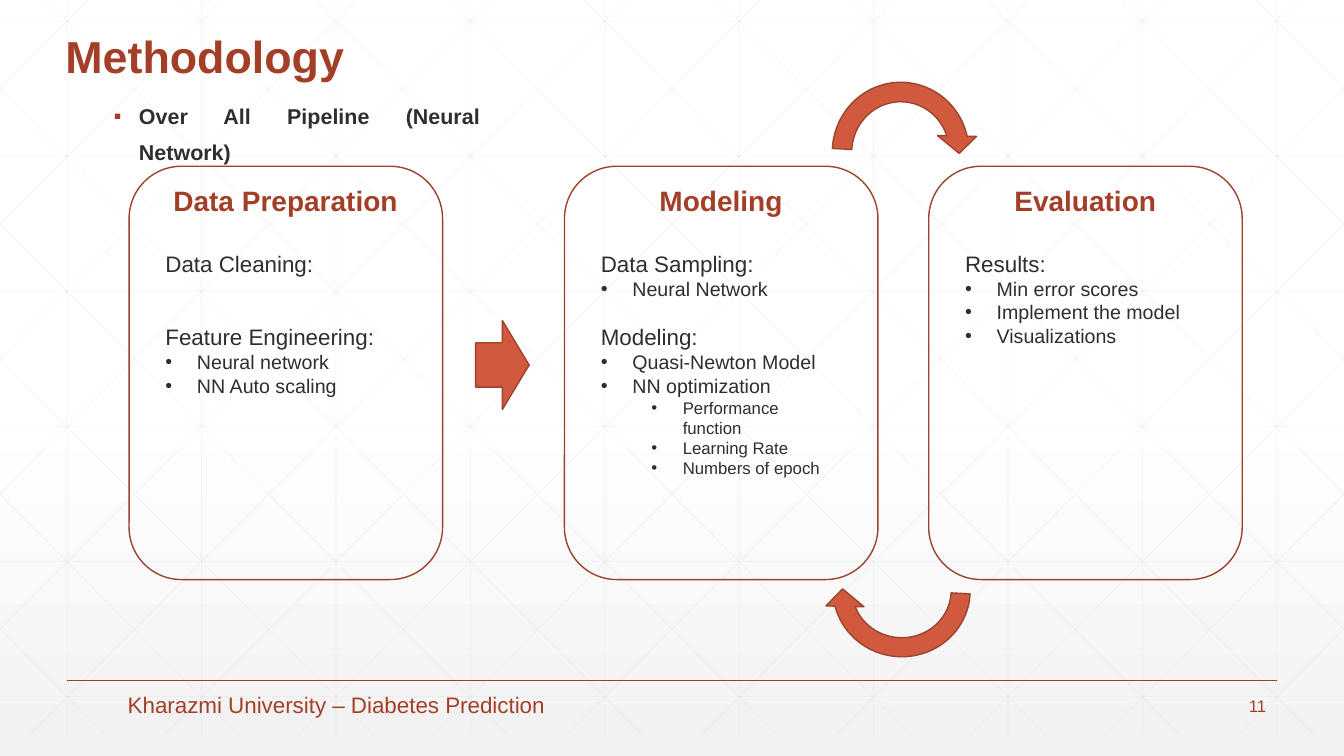
from copy import deepcopy
from dataclasses import dataclass

from lxml.etree import SubElement
from pptx import Presentation
from pptx.dml.color import RGBColor
from pptx.enum.shapes import MSO_CONNECTOR as CONN, MSO_SHAPE as SHAPE
from pptx.enum.text import MSO_ANCHOR as ANCHOR, PP_ALIGN as ALIGN
from pptx.oxml.ns import qn
from pptx.util import Pt

RUST = RGBColor(0xA4, 0x3F, 0x27)
EDGE = RGBColor(0x9B, 0x43, 0x2E)
ORANGE = RGBColor(0xD1, 0x5A, 0x3E)
INK = RGBColor(0x2D, 0x2E, 0x2D)
GRID = RGBColor(0xD9, 0xD9, 0xD9)
WHITE = RGBColor(0xFF, 0xFF, 0xFF)
PALE = RGBColor(0xF2, 0xF2, 0xF2)

WIDTH, HEIGHT = 960, 540
GRID_TOP, GRID_BOTTOM, GRID_STEP = -15, 525, 96
DIAGONAL_RUN = 537


@dataclass
class Line:
    text: str
    size: float
    color: RGBColor = INK
    bold: bool = False
    align: ALIGN = ALIGN.LEFT
    before: float = 0
    spacing: float = 1.0
    bullet: str = ""
    margin: float = 0
    hang: float = 0
    level: int = 0


@dataclass
class Stage:
    left: float
    height: float
    lines: list[Line]


@dataclass
class Arrow:
    shape: SHAPE
    box: tuple[float, float, float, float]
    rotation: float = 0
    adjustments: tuple[float, ...] = ()


def heading(text: str) -> Line:
    return Line(text, 20, RUST, True, ALIGN.CENTER)


def topic(text: str, before: float) -> Line:
    return Line(text, 16, before=before)


def item(text: str) -> Line:
    return Line(text, 14, bullet="•", margin=22.5, hang=22.5)


def subitem(text: str) -> Line:
    return Line(text, 12, bullet="•", margin=58.5, hang=22.5, level=1)


def add_line(s, x1: float, y1: float, x2: float, y2: float,
             color: RGBColor, width: float, alpha: int = 100) -> None:
    c = s.shapes.add_connector(CONN.STRAIGHT, Pt(x1), Pt(y1), Pt(x2), Pt(y2))
    c.line.color.rgb = color
    c.line.width = Pt(width)
    sp_pr = c.element.find(qn("p:spPr"))
    if alpha < 100:
        rgb = sp_pr.find(".//" + qn("a:srgbClr"))
        SubElement(rgb, qn("a:alpha"), val=str(alpha * 1000))
    SubElement(sp_pr, qn("a:effectLst"))


def add_text(s, box: tuple[float, float, float, float], lines: list[Line],
             anchor: ANCHOR = ANCHOR.TOP) -> None:
    tf = s.shapes.add_textbox(*map(Pt, box)).text_frame
    tf.word_wrap = True
    tf.vertical_anchor = anchor
    for i, line in enumerate(lines):
        p = tf.add_paragraph() if i else tf.paragraphs[0]
        p.text = line.text
        p.level = line.level
        p.alignment = line.align
        p.line_spacing = line.spacing
        if line.before:
            p.space_before = Pt(line.before)
        if line.bullet:
            p_pr = p._p.get_or_add_pPr()
            p_pr.set("marL", str(Pt(line.margin)))
            p_pr.set("indent", str(-Pt(line.hang)))
            if line.bold:
                clr = SubElement(p_pr, qn("a:buClr"))
                SubElement(clr, qn("a:srgbClr"), val=str(RUST))
            SubElement(p_pr, qn("a:buFont"), typeface="Arial")
            SubElement(p_pr, qn("a:buChar"), char=line.bullet)
        p.font.name = "Arial"
        p.font.size = Pt(line.size)
        p.font.bold = line.bold
        p.font.color.rgb = line.color


def add_outlined(s, shape: SHAPE, box: tuple[float, float, float, float]):
    sp = s.shapes.add_shape(shape, *map(Pt, box))
    sp.shadow.inherit = False
    sp.fill.background()
    sp.line.color.rgb = EDGE
    sp.line.width = Pt(1)
    return sp


def add_arrow(s, arrow: Arrow) -> None:
    sp = add_outlined(s, arrow.shape, arrow.box)
    sp.fill.solid()
    sp.fill.fore_color.rgb = ORANGE
    sp.rotation = arrow.rotation
    for i, value in enumerate(arrow.adjustments):
        sp.adjustments[i] = value


def add_background(s) -> None:
    fill = s.background.fill
    fill.gradient()
    fill.gradient_angle = 270
    stops = s.element.find(".//" + qn("a:gsLst"))
    stops.insert(1, deepcopy(stops[0]))
    for stop, at, color in zip(fill.gradient_stops, (0, 0.53, 1), (WHITE, WHITE, PALE)):
        stop.position = at
        stop.color.rgb = color


def add_grid(s) -> None:
    lines = [(x, GRID_TOP, x, GRID_BOTTOM) for x in range(48, WIDTH, GRID_STEP)]
    lines += [(0, 15 + 96.5 * i, WIDTH, 15 + 96.5 * i) for i in range(6)]
    slope = (GRID_BOTTOM - GRID_TOP) / DIAGONAL_RUN
    for k in range(-5, 10):
        start = 18 + GRID_STEP * k
        # Clip each diagonal to the slide, then mirror it
        x1, x2 = max(start, 0), min(start + DIAGONAL_RUN, WIDTH)
        y1, y2 = (GRID_TOP + (x - start) * slope for x in (x1, x2))
        lines += [(x1, y1, x2, y2), (WIDTH - x1, y1, WIDTH - x2, y2)]
    for line in lines:
        add_line(s, *line, GRID, 0.5, 25)


STAGES = [
    Stage(92.2, 163, [
        heading("Data Preparation"), topic("Data Cleaning:", 23.5),
        topic("Feature Engineering:", 33.2),
        item("Neural network"), item("NN Auto scaling")]),
    Stage(403.2, 220, [
        heading("Modeling"), topic("Data Sampling:", 23.5), item("Neural Network"),
        topic("Modeling:", 16.6), item("Quasi-Newton Model"), item("NN optimization"),
        subitem("Performance function"), subitem("Learning Rate"),
        subitem("Numbers of epoch")]),
    Stage(663.4, 126, [
        heading("Evaluation"), topic("Results:", 23.5), item("Min error scores"),
        item("Implement the model"), item("Visualizations")]),
]

LOOP = (0.125, 10.313, 204.577, 108, 0.125)
ARROWS = [
    Arrow(SHAPE.CIRCULAR_ARROW, (587.5, 51.8, 111.6, 113.8), 3.1, LOOP),
    Arrow(SHAPE.CIRCULAR_ARROW, (588.2, 367.2, 111.6, 108.7), 183.1, LOOP),
    Arrow(SHAPE.RIGHT_ARROW, (339.8, 229, 38.2, 63.4)),
]


def main() -> None:
    prs = Presentation()
    prs.slide_width, prs.slide_height = Pt(WIDTH), Pt(HEIGHT)
    s = prs.slides.add_slide(prs.slide_layouts[6])

    # Backdrop and footer rule
    add_background(s)
    add_grid(s)
    add_line(s, 48, 486, 912, 486, RUST, 1)

    # Title, subtitle and page number
    add_text(s, (39.6, 12.2, 267.8, 51.1),
             [Line("Methodology", 32, RUST, True, spacing=0.9)], ANCHOR.BOTTOM)
    add_text(s, (74.2, 62.6, 275.8, 46.1),
             [Line("Over All Pipeline (Neural Network)", 15.3, bold=True,
                   align=ALIGN.JUSTIFY, spacing=1.4, bullet="▪", margin=18, hang=18)])
    add_text(s, (839.5, 495.4, 72, 17.3),
             [Line("11", 12, RUST, align=ALIGN.RIGHT)], ANCHOR.MIDDLE)

    # Pipeline stages
    for stage in STAGES:
        add_outlined(s, SHAPE.ROUNDED_RECTANGLE, (stage.left, 118.8, 223.9, 295.2))
    for stage in STAGES:
        add_text(s, (stage.left + 18.9, 127.4, 185.8, stage.height), stage.lines)
    for arrow in ARROWS:
        add_arrow(s, arrow)

    # Footer
    add_text(s, (84.2, 490.3, 558.7, 26.6),
             [Line("Kharazmi University – Diabetes Prediction", 16, RUST)])
    prs.save("out.pptx")


if __name__ == "__main__":
    main()
